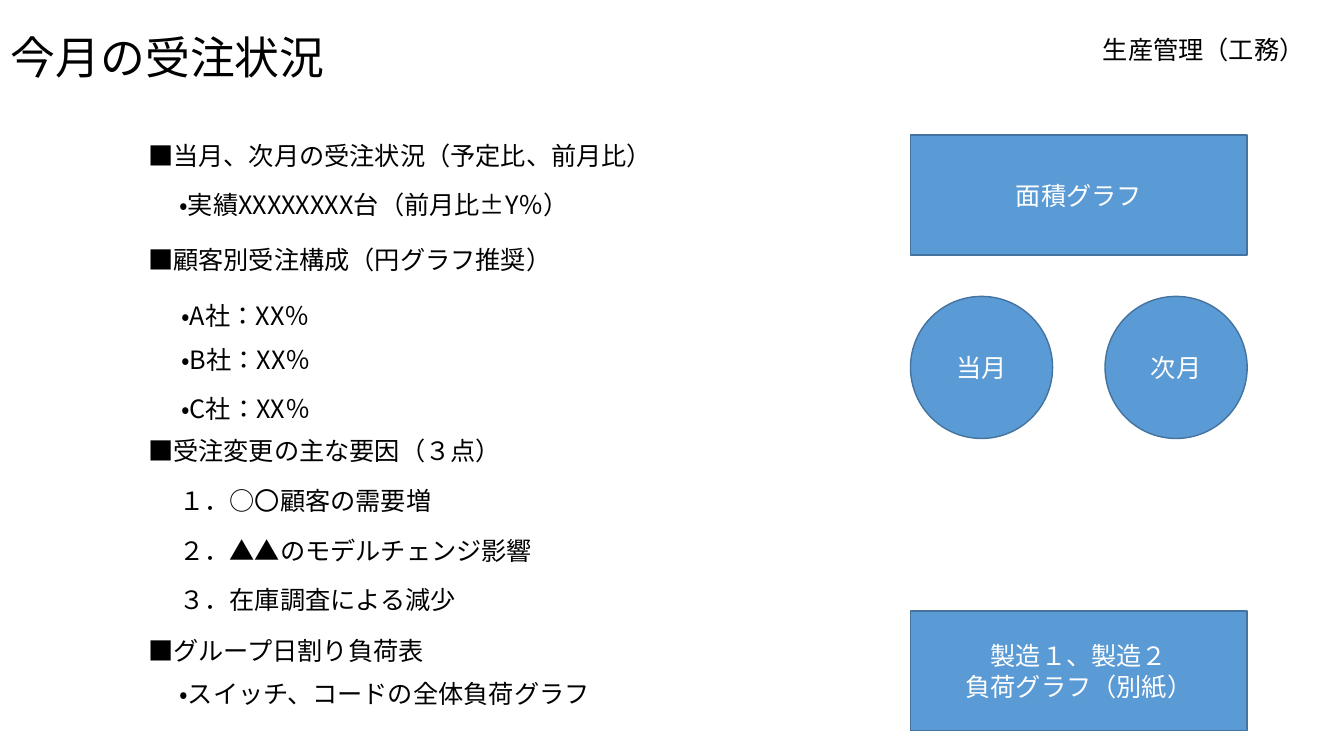
from dataclasses import dataclass

import pptx
import pptx.dml.color
import pptx.enum.lang
import pptx.enum.shapes
import pptx.enum.text
import pptx.shapes.autoshape
import pptx.slide
import pptx.text.text
import pptx.util

EMU_PER_PX = 9144  # 100 px to the inch


@dataclass(frozen=True)
class Theme:
    ink: str = "000000"
    paper: str = "FFFFFF"
    fill: str = "5B9BD5"
    outline: str = "43739E"
    outline_width: int = 1
    title_size: int = 32
    body_size: int = 18
    japanese_font: str = "Noto Sans CJK JP"
    latin_font: str = "Calibri"


THEME = Theme()


@dataclass(frozen=True)
class Label:
    text: str
    left: int
    top: int
    width: int
    height: int = 40
    size: int = THEME.body_size
    font: str = THEME.japanese_font


@dataclass(frozen=True)
class ChartMarker:
    text: str
    left: int
    top: int
    width: int
    height: int
    kind: pptx.enum.shapes.MSO_SHAPE


HEADING_LEFT, DETAIL_LEFT, CUSTOMER_LEFT = 137, 168, 170
MARKER_LEFT, MARKER_WIDTH, BAR_HEIGHT, CIRCLE = 903, 334, 119, 141
CIRCLE_TOP = 294
RECTANGLE = pptx.enum.shapes.MSO_SHAPE.RECTANGLE
OVAL = pptx.enum.shapes.MSO_SHAPE.OVAL

LABELS = [
    Label("今月の受注状況", 1, 25, 457, 64, size=THEME.title_size),
    Label("生産管理（工務）", 1084, 29, 229, font=THEME.latin_font),
    Label("■当月、次月の受注状況（予定比、前月比）", HEADING_LEFT, 134, 597),
    Label("・実績XXXXXXXX台（前月比±Y％）", DETAIL_LEFT, 183, 753),
    Label("■顧客別受注構成（円グラフ推奨）", HEADING_LEFT, 237, 457),
    Label("・A社：XX％", CUSTOMER_LEFT, 293, 753),
    Label("・B社：XX％", CUSTOMER_LEFT, 337, 753),
    Label("・C社：XX％", CUSTOMER_LEFT, 385, 753),
    Label("■受注変更の主な要因（３点）", HEADING_LEFT, 427, 457),
    Label("１．○〇顧客の需要増", DETAIL_LEFT, 477, 457),
    Label("２．▲▲のモデルチェンジ影響", DETAIL_LEFT, 526, 457),
    Label("３．在庫調査による減少", DETAIL_LEFT, 575, 457),
    Label("■グループ日割り負荷表", HEADING_LEFT, 625, 457),
    Label("・スイッチ、コードの全体負荷グラフ", DETAIL_LEFT, 668, 538),
]

MARKERS = [
    ChartMarker("面積グラフ", MARKER_LEFT, 134, MARKER_WIDTH, BAR_HEIGHT, RECTANGLE),
    ChartMarker("当月", MARKER_LEFT, CIRCLE_TOP, CIRCLE, CIRCLE, OVAL),
    ChartMarker("次月", MARKER_LEFT + MARKER_WIDTH - CIRCLE, CIRCLE_TOP,
                CIRCLE, CIRCLE, OVAL),
    ChartMarker("製造１、製造２\n負荷グラフ（別紙）", MARKER_LEFT, 606,
                MARKER_WIDTH, BAR_HEIGHT, RECTANGLE),
]


def px(length: int) -> pptx.util.Emu:
    return pptx.util.Emu(length * EMU_PER_PX)


def rgb(code: str) -> pptx.dml.color.RGBColor:
    return pptx.dml.color.RGBColor.from_string(code)


def write_text(
    frame: pptx.text.text.TextFrame,
    text: str,
    *,
    size: int = THEME.body_size,
    font: str = THEME.latin_font,
    color: str = THEME.ink,
    align: pptx.enum.text.PP_ALIGN = pptx.enum.text.PP_ALIGN.LEFT,
    anchor: pptx.enum.text.MSO_ANCHOR = pptx.enum.text.MSO_ANCHOR.TOP,
) -> None:
    """Fill the frame with one paragraph for each line of text."""
    frame.word_wrap = True
    frame.vertical_anchor = anchor
    for index, line in enumerate(text.split("\n")):
        para = frame.add_paragraph() if index else frame.paragraphs[0]
        para.alignment = align
        span = para.add_run()
        span.text = line
        span.font.size = pptx.util.Pt(size)
        span.font.name = font
        span.font.color.rgb = rgb(color)
        span.font.language_id = pptx.enum.lang.MSO_LANGUAGE_ID.JAPANESE


def add_label(slide: pptx.slide.Slide, label: Label) -> None:
    box = slide.shapes.add_textbox(
        px(label.left), px(label.top), px(label.width), px(label.height))
    write_text(box.text_frame, label.text, size=label.size, font=label.font)
    box.text_frame.auto_size = pptx.enum.text.MSO_AUTO_SIZE.SHAPE_TO_FIT_TEXT


def add_marker(slide: pptx.slide.Slide, marker: ChartMarker) -> None:
    shape: pptx.shapes.autoshape.Shape = slide.shapes.add_shape(
        marker.kind, px(marker.left), px(marker.top),
        px(marker.width), px(marker.height))
    shape.shadow.inherit = False
    shape.fill.solid()
    shape.fill.fore_color.rgb = rgb(THEME.fill)
    shape.line.color.rgb = rgb(THEME.outline)
    shape.line.width = pptx.util.Pt(THEME.outline_width)
    write_text(shape.text_frame, marker.text, color=THEME.paper,
               align=pptx.enum.text.PP_ALIGN.CENTER,
               anchor=pptx.enum.text.MSO_ANCHOR.MIDDLE)


def main() -> None:
    deck = pptx.Presentation()
    deck.slide_width, deck.slide_height = px(1333), px(750)
    slide = deck.slides.add_slide(deck.slide_layouts[6])
    for label in LABELS:
        add_label(slide, label)
    for marker in MARKERS:
        add_marker(slide, marker)
    deck.save("out.pptx")


if __name__ == "__main__":
    main()
